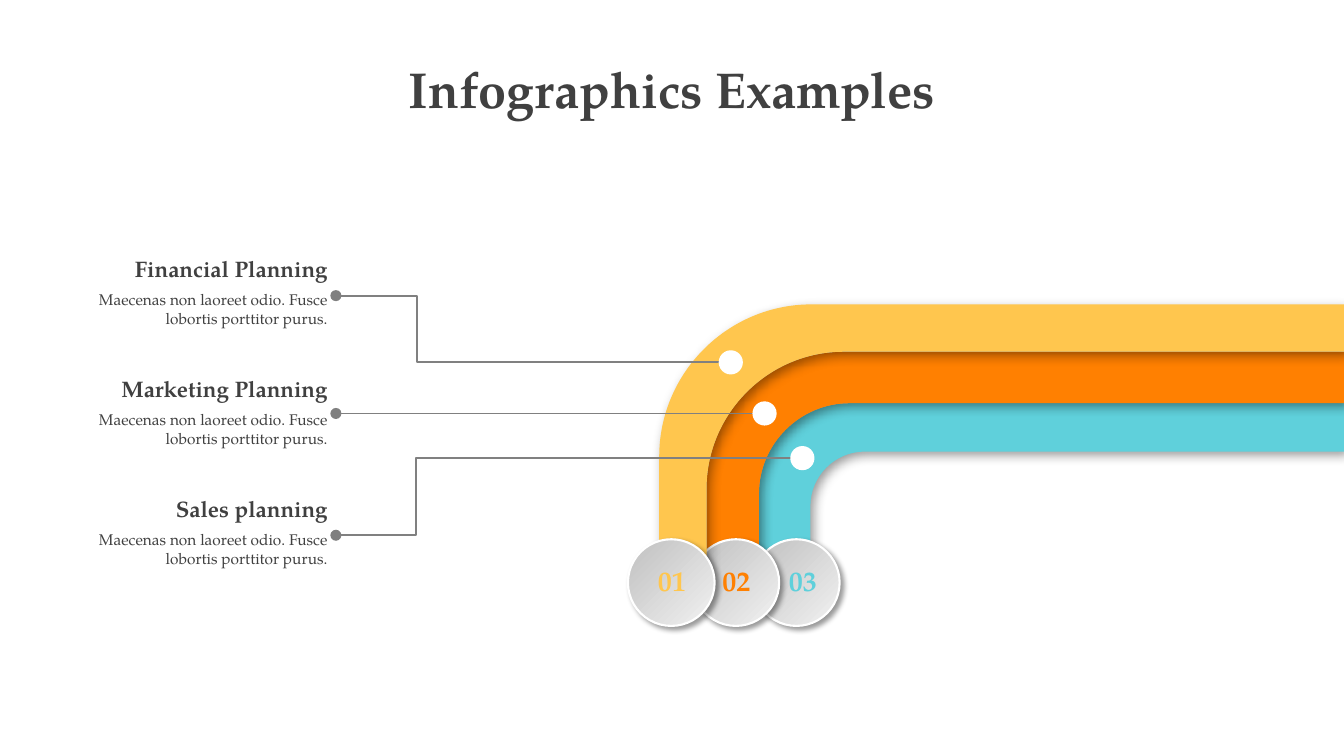
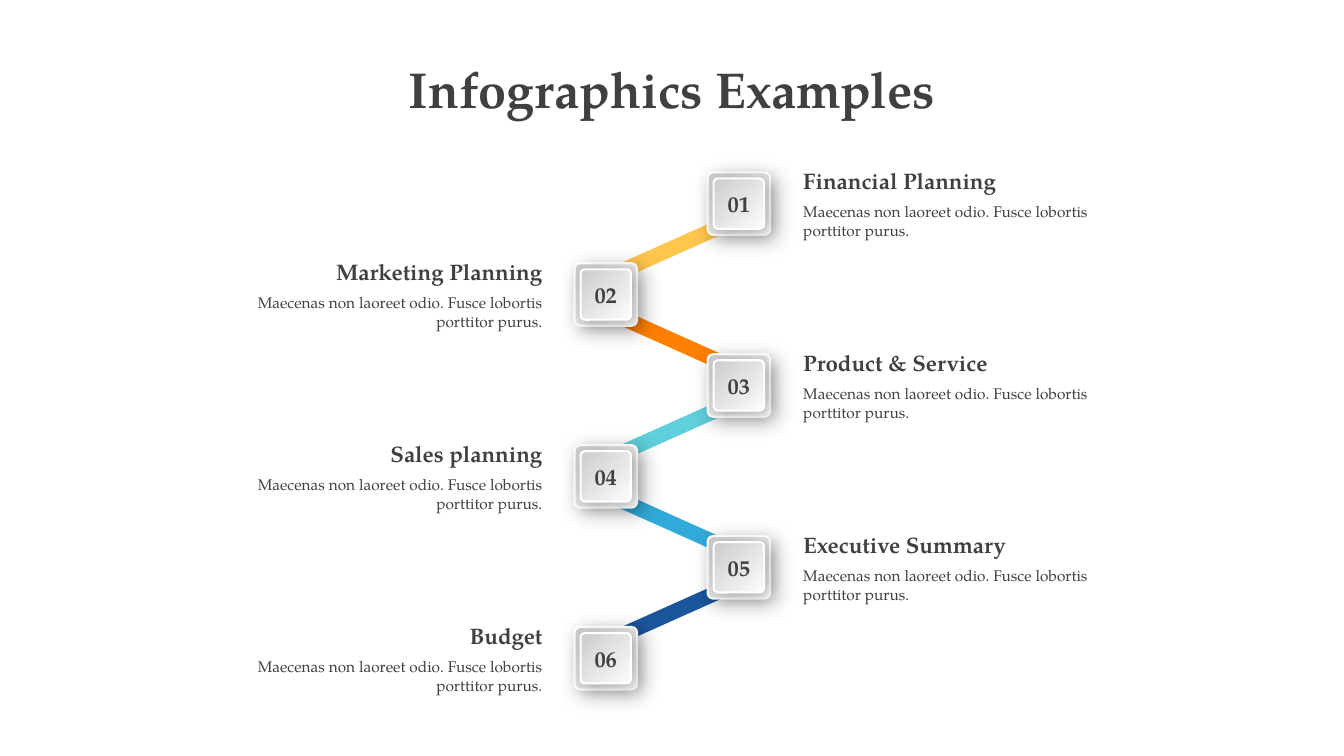
from lxml import etree
from pptx import Presentation
from pptx import util as u
from pptx.dml.color import RGBColor
from pptx.enum import shapes, text
from pptx.oxml.ns import qn

FONT = "TeX Gyre Pagella"
INK = RGBColor(0x40, 0x40, 0x40)
GREY = RGBColor(0x80, 0x80, 0x80)
WHITE = RGBColor(0xFF, 0xFF, 0xFF)
YELLOW = RGBColor(0xFF, 0xC6, 0x4E)
ORANGE = RGBColor(0xFF, 0x80, 0x01)
TURQUOISE = RGBColor(0x5F, 0xD0, 0xDB)
BLUE = RGBColor(0x32, 0xAA, 0xD9)
NAVY = RGBColor(0x1A, 0x56, 0x9C)
DISC_METAL = (RGBColor(0xBF, 0xBF, 0xBF), RGBColor(0xF2, 0xF2, 0xF2))
TILE_METAL = (RGBColor(0xCC, 0xCC, 0xCC), RGBColor(0xFC, 0xFC, 0xFC))

# Every length below counts cells of this square grid.
CELL = u.Inches(0.1)
COLUMNS, ROWS = 133.33, 75

LEFT, CENTER, RIGHT = text.PP_ALIGN.LEFT, text.PP_ALIGN.CENTER, text.PP_ALIGN.RIGHT
OVAL = shapes.MSO_SHAPE.OVAL
DETAIL = "Maecenas non laoreet odio. Fusce lobortis porttitor purus."


def write(frame, words, size=16, color=INK, bold=True, align=CENTER, space_before=0):
    """Fill the frame's empty first paragraph, or add one after its text."""
    paragraph = frame.add_paragraph() if frame.text else frame.paragraphs[0]
    paragraph.text = words
    paragraph.alignment = align
    paragraph.space_before = u.Pt(space_before)
    font = paragraph.font
    font.name, font.size, font.bold = FONT, u.Pt(size), bold
    font.color.rgb = color


def add_figure(slide, outline, center=None, size=None, closed=True, curves=(),
               fill=None, line=None, line_width=1.5, shadow=None):
    """Draw a preset round its center, or a list of points.

    Each index in curves starts three points that form one Bezier curve.
    A pair of fill colours makes a diagonal gradient; shadow is
    (opacity in percent, blur in points, distance in points).
    """
    if isinstance(outline, list):
        points = [(round(x * CELL), round(y * CELL)) for x, y in outline]
        builder = slide.shapes.build_freeform(*points[0])
        builder.add_line_segments(points[1:], close=closed)
        shape = builder.convert_to_shape()
        segments = list(shape._element.iter(qn("a:lnTo")))
        for start in curves:
            curve = etree.Element(qn("a:cubicBezTo"))
            segments[start - 1].addprevious(curve)
            for segment in segments[start - 1:start + 2]:
                curve.append(segment[0])
                segment.getparent().remove(segment)
    else:
        (x, y), (width, height) = center, size
        box = (x - width / 2, y - height / 2, width, height)
        shape = slide.shapes.add_shape(outline, *(round(n * CELL) for n in box))

    if fill is None:
        shape.fill.background()
    elif isinstance(fill, RGBColor):
        shape.fill.solid()
        shape.fill.fore_color.rgb = fill
    else:
        shape.fill.gradient()
        shape.fill.gradient_angle = 315
        for stop, color, position in zip(shape.fill.gradient_stops, fill, (0, 1)):
            stop.color.rgb = color
            stop.position = position

    if line is None:
        shape.line.fill.background()
    else:
        shape.line.color.rgb = line
        shape.line.width = u.Pt(line_width)

    shape.shadow.inherit = False
    if shadow:
        opacity, blur, distance = shadow
        effects = shape._element.spPr.find(qn("a:effectLst"))
        outer = etree.SubElement(
            effects, qn("a:outerShdw"), blurRad=str(u.Pt(blur)),
            dist=str(u.Pt(distance)), dir=str(45 * 60000), algn="ctr", rotWithShape="0")
        black = etree.SubElement(outer, qn("a:srgbClr"), val="000000")
        etree.SubElement(black, qn("a:alpha"), val=str(opacity * 1000))
    return shape


presentation = Presentation()
presentation.slide_width = round(COLUMNS * CELL)
presentation.slide_height = ROWS * CELL

# Both slides take the title's place from the layout.
layout = presentation.slide_layouts.get_by_name("Title Only")
layout_title = layout.placeholders[0]
layout_title.left, layout_title.top = 0, round(5.2 * CELL)
layout_title.width, layout_title.height = presentation.slide_width, round(7.1 * CELL)

bands_slide, zigzag_slide = (presentation.slides.add_slide(layout) for _ in range(2))
for slide in (bands_slide, zigzag_slide):
    title_frame = slide.shapes.title.text_frame
    title_frame.auto_size = text.MSO_AUTO_SIZE.NONE
    title_frame.vertical_anchor = text.MSO_ANCHOR.MIDDLE
    write(title_frame, "Infographics Examples", size=36)

labels = []  # slide, left, top, width, height, alignment, heading

# Bands: each lies between two neighbouring edges (left, top, corner radius).
edges = [(65.4, 30.2, 15.1), (70.1, 34.9, 13.6), (75.3, 40, 9), (80.4, 44.8, 5.4)]
BAND_FOOT = 57.8
ARC_PULL = 0.55  # share of the radius by which control points bend a quarter circle
edge_lines = []
for left, top, radius in edges:
    control = radius * (1 - ARC_PULL)
    edge_lines.append([
        (left, BAND_FOOT), (left, top + radius),
        (left, top + control), (left + control, top), (left + radius, top),
        (COLUMNS, top)])

bands = [outer_edge + inner_edge[::-1]
         for outer_edge, inner_edge in zip(edge_lines, edge_lines[1:])]

# Back to front: discs 03 and 02 lie below the first band.
band_colors = (YELLOW, ORANGE, TURQUOISE)
disc_columns = (66.6, 73, 79)
for kind, step in (("band", 2), ("band", 1), ("disc", 2), ("disc", 1), ("band", 0), ("disc", 0)):
    if kind == "band":
        add_figure(bands_slide, bands[step], curves=(2, 8),
                   fill=band_colors[step], shadow=(40, 8, 4))
    else:
        add_figure(bands_slide, OVAL, (disc_columns[step], BAND_FOOT), (8.6, 8.6),
                   fill=DISC_METAL, line=WHITE, shadow=(40, 4, 3))

number_lefts = (63.1, 69.5, 76.1)
for step, (left, color) in enumerate(zip(number_lefts, band_colors), start=1):
    box = bands_slide.shapes.add_textbox(*(round(n * CELL) for n in (left, 55.4, 7.1, 4.8)))
    box.text_frame.word_wrap = True
    write(box.text_frame, f"{step:02}", size=20, color=color)

# Leader lines run from a dot by the label to a white spot on the band.
DOT_COLUMN = 33.32
leaders = [
    ("Financial Planning", 29.33, 41.4, (72.5, 35.95)),
    ("Marketing Planning", 41.02, None, (75.85, 41.02)),
    ("Sales planning", 53.1, 41.3, (79.6, 45.45)),
]
for index, (heading, dot_row, bend_column, spot) in enumerate(leaders):
    dot = (DOT_COLUMN, dot_row)
    if bend_column is None:
        ends = [round(n * CELL) for n in (*dot, *spot)]
        connector = bands_slide.shapes.add_connector(shapes.MSO_CONNECTOR.STRAIGHT, *ends)
        connector.line.color.rgb = GREY
        connector.line.width = u.Pt(1.25)
        etree.SubElement(connector._element.spPr, qn("a:effectLst"))
    else:
        elbow = [spot, (bend_column, spot[1]), (bend_column, dot_row), dot]
        add_figure(bands_slide, elbow, closed=False, line=GREY, line_width=1.25)
    add_figure(bands_slide, OVAL, dot, (1.1, 1.1), fill=GREY)
    add_figure(bands_slide, OVAL, spot, (2.4, 2.4), fill=WHITE)
    labels.append((bands_slide, 7, 24.8 + 11.9 * index, 26.5, 9.1, RIGHT, heading))

# Zigzag: tiles alternate between a right and a left column.
headings = ["Financial Planning", "Marketing Planning", "Product & Service",
            "Sales planning", "Executive Summary", "Budget"]
TILE_COLUMNS = (73.3, 60.1)
FIRST_ROW, ROW_STEP = 20.2, 9.02
tile_centers = [(TILE_COLUMNS[index % 2], FIRST_ROW + ROW_STEP * index)
                for index in range(len(headings))]

bars = [(NAVY, 66.5, 60.85), (BLUE, 66.5, 51.85), (TURQUOISE, 66.5, 42.75),
        (ORANGE, 67.1, 33.95), (YELLOW, 67.1, 24.45)]
for index, (color, column, row) in enumerate(bars):
    bar = add_figure(zigzag_slide, shapes.MSO_SHAPE.RECTANGLE, (column, row),
                     (12.4, 1.5), fill=color)
    bar.rotation = 24.1 if index % 2 else -24.1

for index, (heading, center) in enumerate(zip(headings, tile_centers)):
    for side, shadow in ((6.2, (30, 15, 5)), (5, (30, 11, 3))):
        tile = add_figure(zigzag_slide, shapes.MSO_SHAPE.ROUNDED_RECTANGLE, center,
                          (side, side), fill=TILE_METAL, line=WHITE, shadow=shadow)
        tile.adjustments[0] = 0.09
    frame = tile.text_frame
    frame.word_wrap = False
    frame.vertical_anchor = text.MSO_ANCHOR.MIDDLE
    write(frame, f"{index + 1:02}")
    left, align = (20.7, RIGHT) if index % 2 else (78.7, LEFT)
    labels.append((zigzag_slide, left, center[1] - 4.1, 34.1, 8.2, align, heading))

for slide, *place, align, heading in labels:
    box = slide.shapes.add_textbox(*(round(n * CELL) for n in place))
    frame = box.text_frame
    frame.word_wrap = True
    write(frame, heading, align=align)
    write(frame, DETAIL, size=11, bold=False, align=align, space_before=6)

presentation.save("out.pptx")
